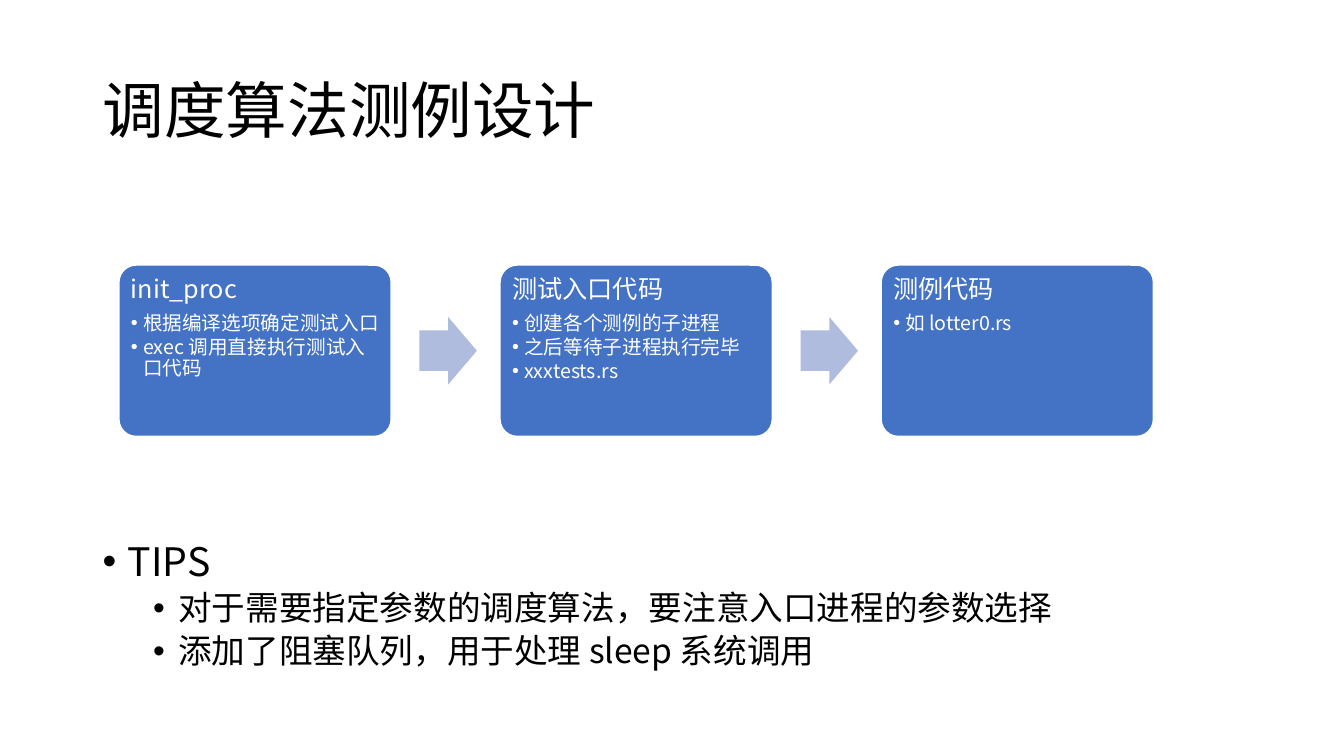
from pptx import Presentation
from pptx.dml.color import RGBColor
from pptx.enum.shapes import MSO_SHAPE as SHAPE
from pptx.enum.text import MSO_ANCHOR as ANCHOR, PP_ALIGN as ALIGN
from pptx.oxml.ns import qn
from pptx.util import Inches, Pt
from lxml.etree import SubElement

FONT = "Noto Sans CJK SC"
BLACK = RGBColor(0x00, 0x00, 0x00)
WHITE = RGBColor(0xFF, 0xFF, 0xFF)
BLUE = RGBColor(0x44, 0x72, 0xC4)
PALE_BLUE = RGBColor(0xB0, 0xBC, 0xDE)

STEPS = [
    ("init_proc", ["根据编译选项确定测试入口", "exec 调用直接执行测试入口代码"]),
    ("测试入口代码", ["创建各个测例的子进程", "之后等待子进程执行完毕", "xxxtests.rs"]),
    ("测例代码", ["如 lotter0.rs"]),
]
TIPS = ["对于需要指定参数的调度算法，要注意入口进程的参数选择",
        "添加了阻塞队列，用于处理 sleep 系统调用"]


def write(p, text, size, color, before=0, after=0, level=0, indent=None, hang=0.25):
    """Fill one paragraph; an indent (inches) makes it a bullet."""
    p.text = text
    p.level = level
    p.alignment = ALIGN.LEFT
    p.line_spacing = 0.9
    p.space_before, p.space_after = Pt(before), Pt(after)
    if indent is not None:
        pPr = p._p.get_or_add_pPr()
        pPr.set("marL", str(Inches(indent)))
        pPr.set("indent", str(-Inches(hang)))
        SubElement(pPr, qn("a:buFont")).set("typeface", "Arial")
        SubElement(pPr, qn("a:buChar")).set("char", "•")
    for r in p.runs:
        r.font.size, r.font.name, r.font.color.rgb = Pt(size), FONT, color
        SubElement(r._r.get_or_add_rPr(), qn("a:ea")).set("typeface", FONT)


def add_text_box(s, x, y, w, h):
    tf = s.shapes.add_textbox(Inches(x), Inches(y), Inches(w), Inches(h)).text_frame
    tf.word_wrap = True
    return tf


def add_block(s, kind, x, y, w, h, fill):
    sp = s.shapes.add_shape(kind, Inches(x), Inches(y), Inches(w), Inches(h))
    sp.shadow.inherit = False
    sp.fill.solid()
    sp.fill.fore_color.rgb = fill
    sp.line.fill.background()
    return sp


def add_title(s, x, y, w, h):
    tf = add_text_box(s, x, y, w, h)
    tf.vertical_anchor = ANCHOR.MIDDLE
    write(tf.paragraphs[0], "调度算法测例设计", 44, BLACK)


def add_card(s, x, y, w, h, heading, points):
    card = add_block(s, SHAPE.ROUNDED_RECTANGLE, x, y, w, h, BLUE)
    card.adjustments[0] = 0.1
    card.line.color.rgb = WHITE
    card.line.width = Pt(1)
    tf = card.text_frame
    tf.word_wrap = True
    tf.vertical_anchor = ANCHOR.TOP
    tf.margin_left = tf.margin_right = tf.margin_top = tf.margin_bottom = Inches(0.07)
    write(tf.paragraphs[0], heading, 18, WHITE, after=6.3)
    for point in points:
        write(tf.add_paragraph(), point, 14, WHITE, after=2.1, level=1,
              indent=0.12, hang=0.12)


def add_flow(s, x, y, w, h):
    """Equal cards across the box, an arrow in each gap."""
    card_w, arrow_w, arrow_h = 2.7, 0.57, 0.67
    pitch = (w - card_w) / (len(STEPS) - 1)
    for i, (heading, points) in enumerate(STEPS):
        left = x + i * pitch
        add_card(s, left, y, card_w, h, heading, points)
        if i < len(STEPS) - 1:
            arrow = add_block(s, SHAPE.RIGHT_ARROW, left + card_w + 0.28,
                              y + (h - arrow_h) / 2, arrow_w, arrow_h, PALE_BLUE)
            arrow.adjustments[0], arrow.adjustments[1] = 0.6, 0.5


def add_tips(s, x, y, w, h):
    tf = add_text_box(s, x, y, w, h)
    write(tf.paragraphs[0], "TIPS", 28, BLACK, before=10, indent=0.25)
    for tip in TIPS:
        write(tf.add_paragraph(), tip, 24, BLACK, before=5, level=1, indent=0.75)


def main():
    prs = Presentation()
    prs.slide_width, prs.slide_height = Inches(13.33), Inches(7.5)
    s = prs.slides.add_slide(prs.slide_layouts[6])
    margin, width = 0.92, 11.5
    add_title(s, margin, 0.4, width, 1.45)
    add_flow(s, 1.18, 2.63, 10.26, 1.7)
    add_tips(s, margin, 5.33, width, 1.43)
    prs.save("out.pptx")


if __name__ == "__main__":
    main()
